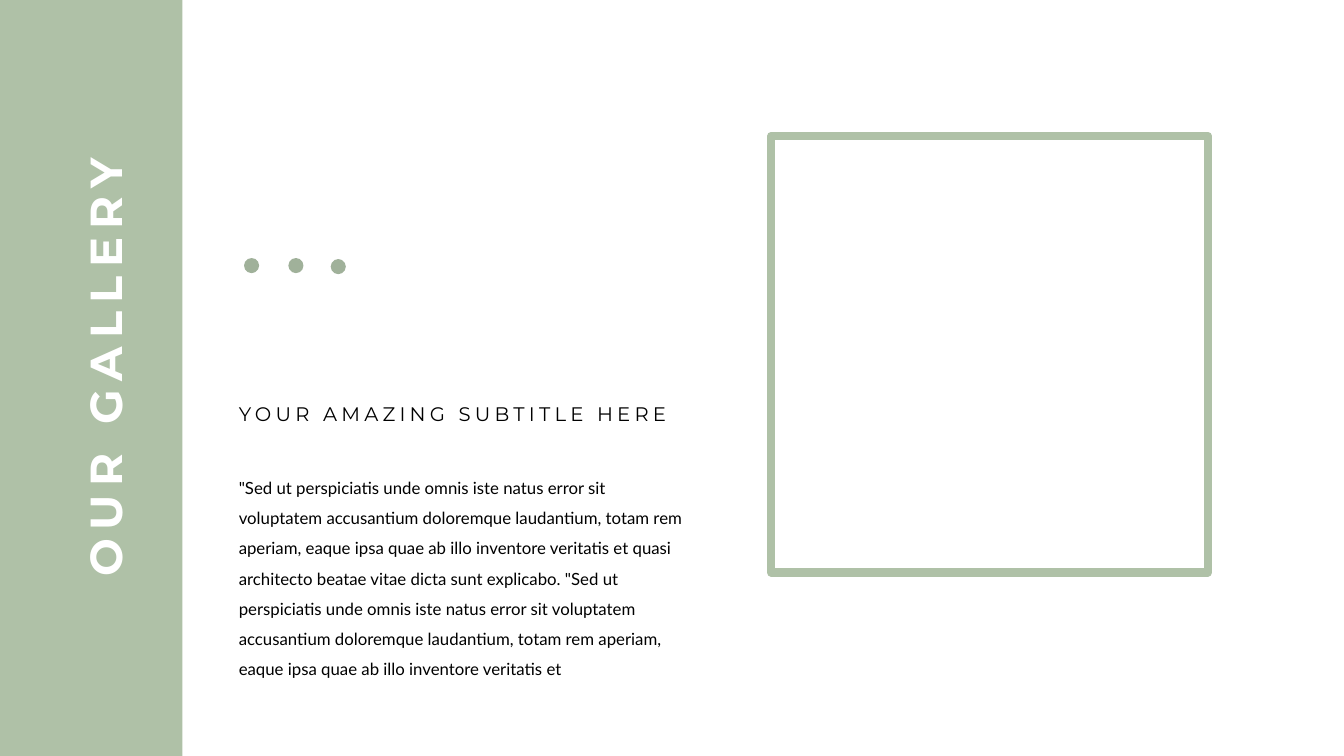
from pptx import Presentation
from pptx.dml.color import RGBColor
from pptx.enum.shapes import MSO_SHAPE
from pptx.enum.text import MSO_AUTO_SIZE, PP_ALIGN
from pptx.util import Inches, Pt

SAGE = RGBColor(0xAF, 0xC1, 0xA7)
DARK_SAGE = RGBColor(0xA0, 0xB1, 0x9A)
WHITE = RGBColor(0xFF, 0xFF, 0xFF)
BLACK = RGBColor(0, 0, 0)

TITLE = "OUR GALLERY"
SUBTITLE = "YOUR AMAZING SUBTITLE HERE"
SENTENCE = (
    '"Sed ut perspiciatis unde omnis iste natus error sit voluptatem '
    "accusantium doloremque laudantium, totam rem aperiam, eaque ipsa quae "
    "ab illo inventore veritatis et"
)
BODY = f"{SENTENCE} quasi architecto beatae vitae dicta sunt explicabo. {SENTENCE}"
DOTS = [(2.42, 2.56), (2.86, 2.56), (3.28, 2.57)]
DOT_SIZE = 0.15


def add_filled_shape(slide, kind, box, color):
    """Add a preset shape with a solid fill and no outline."""
    shape = slide.shapes.add_shape(kind, *map(Inches, box))
    shape.shadow.inherit = False
    shape.fill.solid()
    shape.fill.fore_color.rgb = color
    shape.line.fill.background()
    return shape


def add_frame(slide, box, color, width):
    """Add an unfilled rectangle with a thick outline."""
    frame = slide.shapes.add_shape(MSO_SHAPE.RECTANGLE, *map(Inches, box))
    frame.shadow.inherit = False
    frame.fill.background()
    frame.line.color.rgb = color
    frame.line.width = Pt(width)
    return frame


def add_text(slide, box, text, font, size, color, bold=False, tracking=0,
             align=PP_ALIGN.LEFT, before=10):
    """Add a wrapped text box with one paragraph; tracking is in points."""
    text_box = slide.shapes.add_textbox(*map(Inches, box))
    text_frame = text_box.text_frame
    text_frame.word_wrap = True
    paragraph = text_frame.paragraphs[0]
    paragraph.alignment = align
    paragraph.line_spacing = 1.5
    paragraph.space_before = Pt(before)
    run = paragraph.add_run()
    run.text = text
    run.font.name = font
    run.font.size = Pt(size)
    run.font.bold = bold
    run.font.color.rgb = color
    if tracking:
        run._r.get_or_add_rPr().set("spc", str(tracking * 100))
    return text_box


def main():
    """Build the gallery slide and save it."""
    presentation = Presentation()
    presentation.slide_width = Inches(13.33)
    presentation.slide_height = Inches(7.5)
    slide = presentation.slides.add_slide(presentation.slide_layouts[6])

    add_frame(slide, (7.65, 1.35, 4.33, 4.33), SAGE, 6)
    add_filled_shape(slide, MSO_SHAPE.RECTANGLE, (0, 0, 1.81, 7.5), SAGE)
    title = add_text(slide, (-2.57, 3.19, 6.95, 0.91), TITLE, "Montserrat", 32,
                     WHITE, bold=True, tracking=6, align=PP_ALIGN.CENTER, before=0)
    title.text_frame.auto_size = MSO_AUTO_SIZE.SHAPE_TO_FIT_TEXT
    title.rotation = 270
    add_text(slide, (2.27, 4.59, 4.67, 2.27), BODY, "Lato", 12, BLACK)
    add_text(slide, (2.27, 3.82, 4.63, 0.62), SUBTITLE, "Montserrat", 14, BLACK,
             tracking=3)
    for left, top in DOTS:
        add_filled_shape(slide, MSO_SHAPE.OVAL, (left, top, DOT_SIZE, DOT_SIZE),
                         DARK_SAGE)

    presentation.save("out.pptx")


main()
